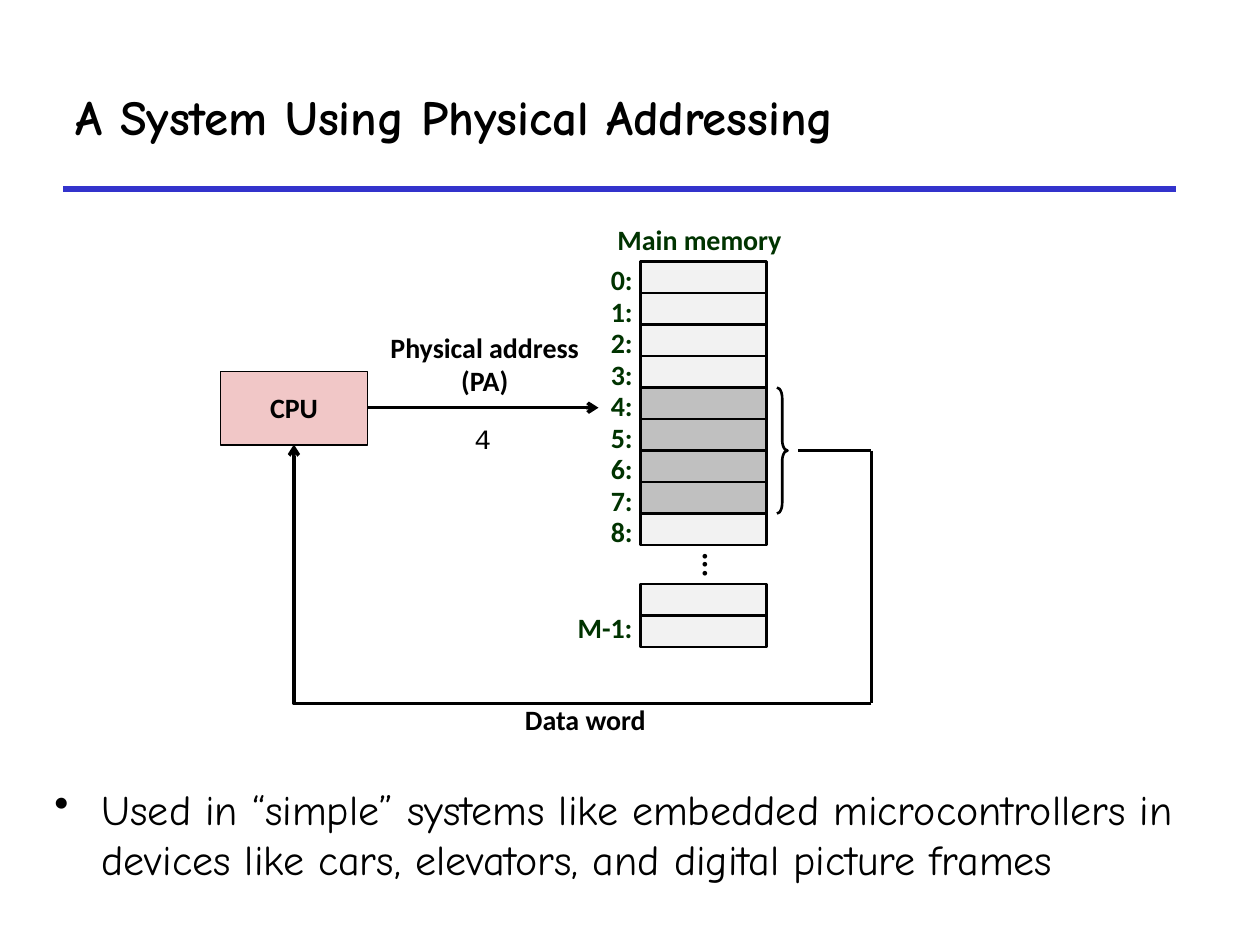
from lxml import etree
from pptx import Presentation
from pptx.dml.color import RGBColor
from pptx.enum.shapes import MSO_CONNECTOR, MSO_SHAPE
from pptx.enum.text import MSO_ANCHOR, MSO_AUTO_SIZE, PP_ALIGN
from pptx.oxml.ns import qn
from pptx.util import Pt

RECT, BRACE = MSO_SHAPE.RECTANGLE, MSO_SHAPE.RIGHT_BRACE
STRAIGHT, ELBOW = MSO_CONNECTOR.STRAIGHT, MSO_CONNECTOR.ELBOW
LEFT, CENTER = PP_ALIGN.LEFT, PP_ALIGN.CENTER
TOP, MIDDLE = MSO_ANCHOR.TOP, MSO_ANCHOR.MIDDLE
FIT, NO_FIT = MSO_AUTO_SIZE.SHAPE_TO_FIT_TEXT, MSO_AUTO_SIZE.NONE

BLACK, GREEN, BLUE = "000000", "003300", "3333CC"
WHITE, LIGHT, GRAY, PINK = "FFFFFF", "F2F2F2", "C0C0C0", "F1C7C7"
HEADING, LABEL, MONO = "Comic Neue", "Calibri", "Courier New"

# Memory column
CELL_X, CELL_Y, CELL_W, CELL_H = 366, 149.5, 72, 18
LABEL_RIGHT = 369.5
WORD = range(4, 8)


def rgb(color):
    return RGBColor.from_string(color)


def set_bullet(p, indent):
    p_pr = p._p.get_or_add_pPr()
    p_pr.set("marL", str(Pt(indent)))
    p_pr.set("indent", str(-Pt(indent)))
    etree.SubElement(p_pr, qn("a:buChar"), char="•")


def write(s, text, size=16, font=LABEL, color=BLACK, bold=True, align=CENTER,
          anchor=MIDDLE, spacing=None, wrap=False, fit=NO_FIT, bullet=None):
    tf = s.text_frame
    tf.text = text
    tf.word_wrap = wrap
    tf.auto_size = fit
    tf.vertical_anchor = anchor
    for p in tf.paragraphs:
        if bullet:
            set_bullet(p, bullet)
        p.alignment = align
        if spacing:
            p.line_spacing = spacing
        p.font.size = Pt(size)
        p.font.name = font
        p.font.bold = bold
        p.font.color.rgb = rgb(color)


def add_text(slide, x, y, w, h, text, **style):
    s = slide.shapes.add_textbox(Pt(x), Pt(y), Pt(w), Pt(h))
    write(s, text, **style)
    return s


def add_box(slide, x, y, w, h, fill=None, width=1.5, kind=RECT):
    s = slide.shapes.add_shape(kind, Pt(x), Pt(y), Pt(w), Pt(h))
    s.shadow.inherit = False
    if fill:
        s.fill.solid()
        s.fill.fore_color.rgb = rgb(fill)
    else:
        s.fill.background()
    s.line.color.rgb = rgb(BLACK)
    s.line.width = Pt(width)
    return s


def add_line(slide, x1, y1, x2, y2, color=BLACK, width=2, arrow=False, kind=STRAIGHT):
    s = slide.shapes.add_connector(kind, Pt(x1), Pt(y1), Pt(x2), Pt(y2))
    s.line.color.rgb = rgb(color)
    s.line.width = Pt(width)
    if arrow:
        etree.SubElement(s.line._get_or_add_ln(), qn("a:tailEnd"), type="arrow")
    sp_pr = s._element.spPr
    etree.SubElement(sp_pr, qn("a:effectLst"))
    if kind == ELBOW:  # put the bend at the far end
        guides = sp_pr.find(qn("a:prstGeom")).get_or_add_avLst()
        etree.SubElement(guides, qn("a:gd"), name="adj1", fmla="val 100000")


def add_title(slide, text):
    s = slide.shapes.title
    s.left, s.top, s.width, s.height = Pt(36), Pt(30), Pt(636), Pt(72)
    write(s, text, size=28, font=HEADING, align=LEFT, wrap=True)
    add_line(slide, 36, 108, 672, 108, color=BLUE, width=3)


def add_bullet(slide, text):
    s = add_text(slide, 24, 444, 684, 69, text, size=24, font=HEADING, bold=False,
                 align=LEFT, anchor=TOP, wrap=True, bullet=27)
    s.fill.solid()
    s.fill.fore_color.rgb = rgb(WHITE)


def add_address(slide, y, text, width=27.5):
    add_text(slide, LABEL_RIGHT - width, y - 0.5, width, 24.5, text, color=GREEN,
             align=LEFT, anchor=TOP, spacing=0.88, fit=FIT)


def add_memory(slide):
    add_text(slide, 345, 126, 109.5, 24.5, "Main memory", color=GREEN,
             anchor=TOP, spacing=0.88, fit=FIT)
    for i in range(9):
        y = CELL_Y + i * CELL_H
        add_box(slide, CELL_X, y, CELL_W, CELL_H, GRAY if i in WORD else LIGHT)
        add_address(slide, y, f"{i}:")
    # Gap, then the last two cells
    s = add_text(slide, 372, 308.5, 72, 18, "...", size=18, spacing=0.98)
    s.text_frame._txBody.bodyPr.set("vert", "eaVert")
    s.text_frame.paragraphs[0]._p.get_or_add_pPr().set("rtl", "1")
    for y in (333.75, 351.75):
        add_box(slide, CELL_X, y, CELL_W, CELL_H, LIGHT)
    add_address(slide, 348.5, "M-1:", width=46.5)
    # Brace around the data word
    s = add_box(slide, 444, CELL_Y + WORD[0] * CELL_H, 6, len(WORD) * CELL_H, kind=BRACE)
    s.adjustments[0] = 1


def add_cpu(slide):
    s = add_box(slide, 126, 212.25, 84, 42, PINK, width=1)
    write(s, "CPU", spacing=0.98)


def add_paths(slide):
    # Address to memory
    add_line(slide, 210, 233, 342, 233, arrow=True)
    add_text(slide, 215.5, 186, 123, 45, "Physical address\n(PA)", spacing=0.98, fit=FIT)
    add_text(slide, 264, 237.5, 24.5, 26.5, "4", font=MONO, bold=False,
             align=LEFT, anchor=TOP, fit=FIT)
    # Data word back to the CPU
    add_line(slide, 456, 257.5, 498, 257.5)
    add_line(slide, 498, 257.5, 498, 402)
    add_line(slide, 498, 402, 168, 254, arrow=True, kind=ELBOW)
    add_text(slide, 292.5, 398.5, 84, 26.5, "Data word", spacing=0.98, fit=FIT)


def main():
    prs = Presentation()
    prs.slide_width, prs.slide_height = Pt(720), Pt(540)
    slide = prs.slides.add_slide(prs.slide_layouts[5])
    add_title(slide, "A System Using Physical Addressing")
    add_bullet(slide, "Used in “simple” systems like embedded microcontrollers in "
                      "devices like cars, elevators, and digital picture frames")
    add_memory(slide)
    add_cpu(slide)
    add_paths(slide)
    prs.save("out.pptx")


if __name__ == "__main__":
    main()
